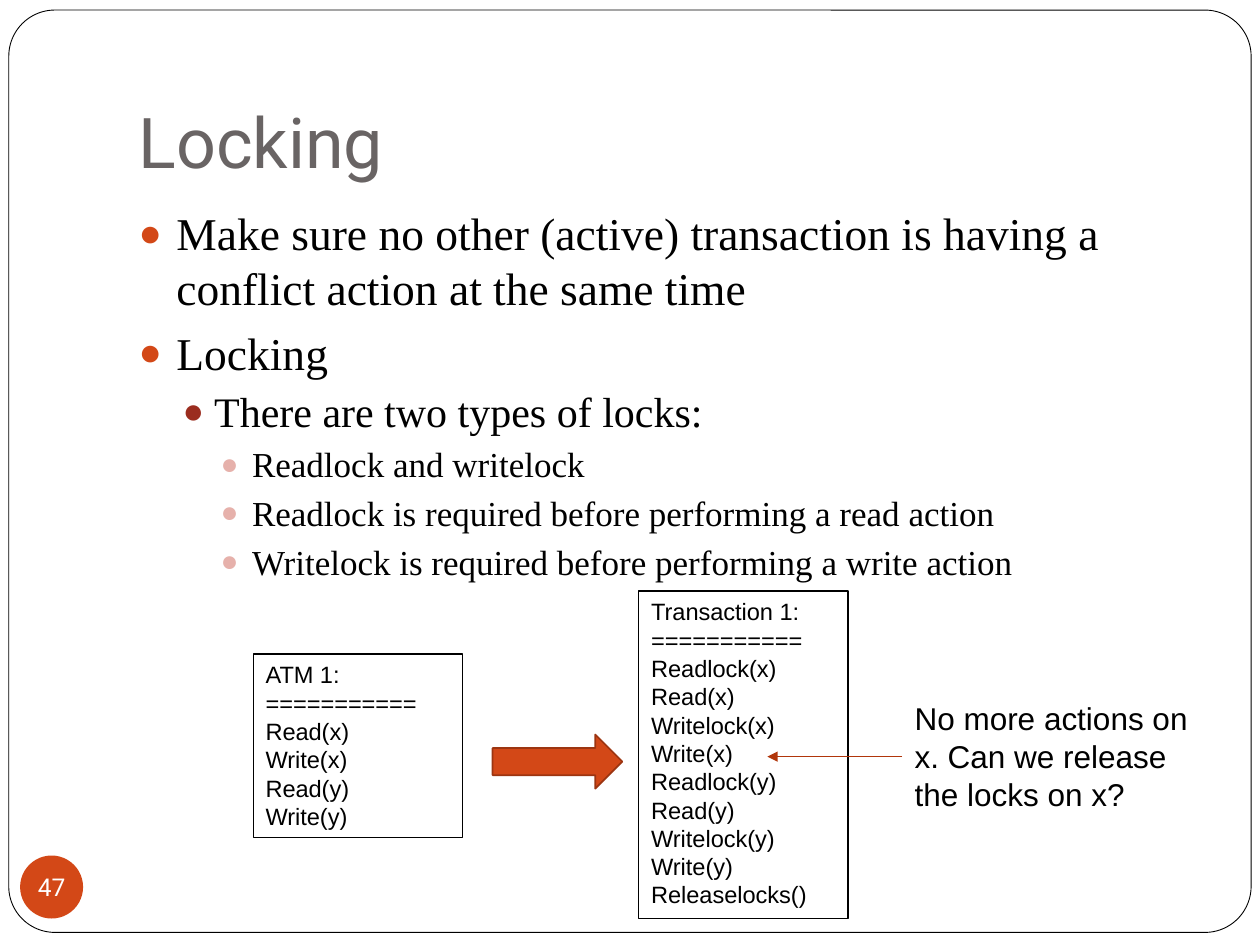
from pptx import Presentation
from pptx.dml.color import RGBColor
from pptx.enum import shapes, text
from pptx.oxml import parse_xml
from pptx.oxml.ns import nsdecls
from pptx.util import Inches, Pt

BLACK = RGBColor(0x00, 0x00, 0x00)
WHITE = RGBColor(0xFF, 0xFF, 0xFF)
GRAY = RGBColor(0x69, 0x64, 0x64)
ORANGE = RGBColor(0xD3, 0x48, 0x17)
DARK_ORANGE = RGBColor(0x9C, 0x35, 0x11)
POINTER = RGBColor(0xB1, 0x36, 0x0B)
BULLET_COLORS = (ORANGE, RGBColor(0x9B, 0x2D, 0x1F), RGBColor(0xE6, 0xB1, 0xAB))
BULLET_SIZES = (26, 24, 20)
BULLET_SPACES = (5.8, 3.8, 3.8)
BULLET_LEFTS = (0.3, 0.6, 0.9)
BULLET_HANGS = (0.3, 0.25, 0.25)

BULLETS = (
    (0, "Make sure no other (active) transaction is having a conflict action at the same time"),
    (0, "Locking"),
    (1, "There are two types of locks:"),
    (2, "Readlock and writelock"),
    (2, "Readlock is required before performing a read action"),
    (2, "Writelock is required before performing a write action"),
)
ATM_ACTIONS = ("Read(x)", "Write(x)", "Read(y)", "Write(y)")
TRANSACTION_ACTIONS = (
    "Readlock(x)", "Read(x)", "Writelock(x)", "Write(x)",
    "Readlock(y)", "Read(y)", "Writelock(y)", "Write(y)", "Releaselocks()",
)


def write_text(paragraph, content, font="Arial", size=18, color=BLACK,
               align=text.PP_ALIGN.LEFT):
    paragraph.alignment = align
    run = paragraph.add_run()
    run.text = content
    run.font.name = font
    run.font.size = Pt(size)
    run.font.color.rgb = color


def next_paragraph(frame, index):
    return frame.add_paragraph() if index else frame.paragraphs[0]


def place(shape, box):
    shape.left, shape.top, shape.width, shape.height = map(Inches, box)


def add_shape(slide, kind, box, fill=None, line=None, width=0.75):
    shape = slide.shapes.add_shape(kind, *map(Inches, box))
    shape.shadow.inherit = False
    if fill is None:
        shape.fill.background()
    else:
        shape.fill.solid()
        shape.fill.fore_color.rgb = fill
    if line is None:
        shape.line.fill.background()
    else:
        shape.line.color.rgb = line
        shape.line.width = Pt(width)
    return shape


def add_frame(slide, box):
    frame = add_shape(slide, shapes.MSO_SHAPE.ROUNDED_RECTANGLE, box, WHITE, BLACK, 0.5)
    frame.adjustments[0] = 0.05
    frame.element.getparent().insert(2, frame.element)


def fill_title(slide, box):
    title = slide.shapes.title
    place(title, box)
    frame = title.text_frame
    frame.auto_size = text.MSO_AUTO_SIZE.NONE
    frame.vertical_anchor = text.MSO_ANCHOR.BOTTOM
    frame.margin_bottom = Inches(0.1)
    write_text(frame.paragraphs[0], "Locking", font="Roboto", size=40, color=GRAY)


def add_bullet(paragraph, level):
    properties = paragraph._p.get_or_add_pPr()
    properties.set("marL", str(Inches(BULLET_LEFTS[level])))
    properties.set("indent", str(-Inches(BULLET_HANGS[level])))
    for element in (
        f'<a:buClr {nsdecls("a")}><a:srgbClr val="{BULLET_COLORS[level]}"/></a:buClr>',
        f'<a:buSzPct {nsdecls("a")} val="85000"/>',
        f'<a:buChar {nsdecls("a")} char="●"/>',
    ):
        properties.append(parse_xml(element))


def fill_body(slide, box):
    body = slide.placeholders[1]
    place(body, box)
    frame = body.text_frame
    frame.auto_size = text.MSO_AUTO_SIZE.NONE
    for index, (level, content) in enumerate(BULLETS):
        paragraph = next_paragraph(frame, index)
        paragraph.level = level
        paragraph.space_before = Pt(BULLET_SPACES[level] if index else 0)
        add_bullet(paragraph, level)
        write_text(paragraph, content, font="Times New Roman", size=BULLET_SIZES[level])


def add_page_number(slide, box):
    badge = add_shape(slide, shapes.MSO_SHAPE.OVAL, box, ORANGE)
    frame = badge.text_frame
    frame.word_wrap = False
    frame.vertical_anchor = text.MSO_ANCHOR.MIDDLE
    frame.margin_left = frame.margin_right = frame.margin_top = frame.margin_bottom = 0
    write_text(frame.paragraphs[0], "47", font="Roboto", size=14, color=WHITE,
               align=text.PP_ALIGN.CENTER)


def add_action_list(slide, box, heading, actions):
    panel = add_shape(slide, shapes.MSO_SHAPE.RECTANGLE, box, line=BLACK)
    frame = panel.text_frame
    frame.word_wrap = True
    frame.vertical_anchor = text.MSO_ANCHOR.TOP
    for index, content in enumerate((heading, "=" * 11, *actions)):
        write_text(next_paragraph(frame, index), content, size=13.5)


def add_question(slide, box, pointer_length):
    left, top, width, height = box
    pointer_y = Inches(top + height / 2)
    pointer = slide.shapes.add_connector(
        shapes.MSO_CONNECTOR.STRAIGHT,
        Inches(left), pointer_y, Inches(left - pointer_length), pointer_y)
    pointer.line.color.rgb = POINTER
    pointer.line.width = Pt(0.75)
    pointer.line._get_or_add_ln().append(
        parse_xml(f'<a:tailEnd {nsdecls("a")} type="triangle"/>'))
    pointer.element.spPr.append(parse_xml(f'<a:effectLst {nsdecls("a")}/>'))
    frame = slide.shapes.add_textbox(*map(Inches, box)).text_frame
    frame.word_wrap = True
    write_text(frame.paragraphs[0], "No more actions on x. Can we release the locks on x?")


def build_locking_slide(presentation):
    slide = presentation.slides.add_slide(presentation.slide_layouts[1])
    add_frame(slide, (0.07, 0.08, 9.86, 7.32))
    fill_title(slide, (1, 0.3, 8.5, 1.25))
    fill_body(slide, (1, 1.58, 8.5, 5))
    add_page_number(slide, (0.16, 6.79, 0.5, 0.5))
    add_action_list(slide, (2.01, 5.19, 1.66, 1.46), "ATM 1:", ATM_ACTIONS)
    add_shape(slide, shapes.MSO_SHAPE.RIGHT_ARROW, (3.91, 5.83, 1.03, 0.43),
              ORANGE, DARK_ORANGE, 1)
    add_action_list(slide, (5.07, 4.69, 1.66, 2.6), "Transaction 1:", TRANSACTION_ACTIONS)
    add_question(slide, (7.16, 5.5, 2.49, 1.01), 1.07)


def main():
    presentation = Presentation()
    presentation.slide_width = Inches(10)
    presentation.slide_height = Inches(7.5)
    build_locking_slide(presentation)
    presentation.save("out.pptx")


if __name__ == "__main__":
    main()
